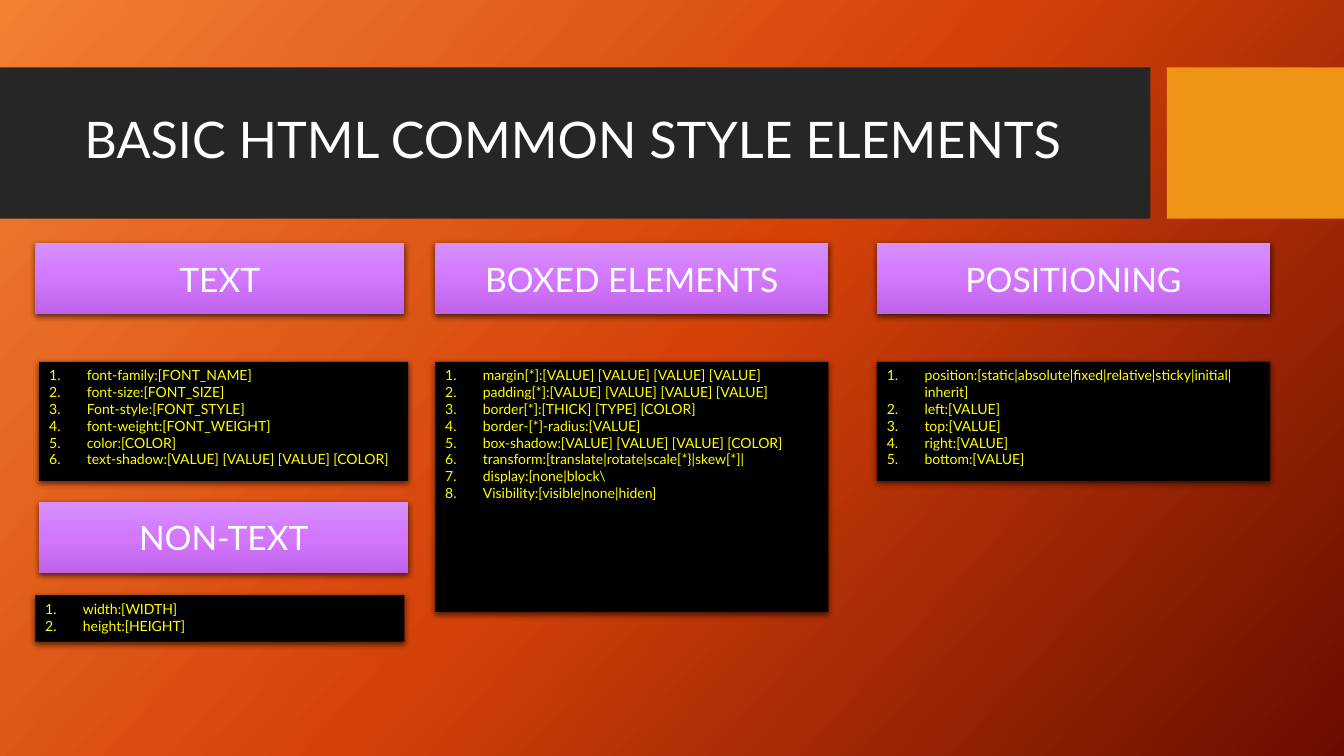
from copy import deepcopy
from lxml.etree import SubElement as Sub
from pptx import Presentation
from pptx.dml.color import RGBColor
from pptx.enum.shapes import MSO_SHAPE as Kind
from pptx.enum.text import MSO_ANCHOR as Anchor, PP_ALIGN as Align
from pptx.oxml.ns import qn
from pptx.util import Cm, Pt


def tint(code):
    """Turn a hex string into a colour."""
    return RGBColor.from_string(code)


class Deck:
    """Hold the style and the current slide."""

    font = "Lato"
    white, black, yellow = "FFFFFF", "000000", "FFFF00"
    dark, amber = "262626", "F09415"
    sunset = ("F18031", "D54209", "6A0D00")
    violet = ("D790FB", "D377FF", "BE62EA")

    def __init__(self):
        """Open a blank slide."""
        self.file = Presentation()
        self.file.slide_width, self.file.slide_height = Cm(33.87), Cm(19.05)
        self.slide = self.file.slides.add_slide(self.file.slide_layouts[6])
        self.blend(self.slide.background.fill, self.slide, self.sunset, 42)

    def blend(self, fill, owner, codes, angle):
        """Fill with three evenly spaced colours, angle clockwise."""
        fill.gradient()
        fill.gradient_angle = 360 - angle
        stops = owner.element.find(".//" + qn("a:gsLst"))
        stops.insert(1, deepcopy(stops[0]))
        for stop, code, place in zip(fill.gradient_stops, codes, (0, 0.5, 1)):
            stop.color.rgb = tint(code)
            stop.position = place

    def words(self, para, text, size, color):
        """Add one run to a paragraph."""
        run = para.add_run()
        run.text = text
        run.font.name, run.font.size = self.font, Pt(size)
        run.font.color.rgb = tint(color)

    def block(self, x, y, w, h, fill):
        """Add a plain rectangle."""
        box = self.slide.shapes.add_shape(Kind.RECTANGLE, Cm(x), Cm(y), Cm(w), Cm(h))
        box.shadow.inherit = False
        box.line.fill.background()
        if isinstance(fill, str):
            box.fill.solid()
            box.fill.fore_color.rgb = tint(fill)
        else:
            self.blend(box.fill, box, fill, 90)
        return box

    def shade(self, box):
        """Cast a soft shadow below a box."""
        effect = box.element.spPr.find(qn("a:effectLst"))
        drop = Sub(effect, qn("a:outerShdw"), blurRad=str(Pt(4.5)), dist=str(Pt(1.5)),
                   dir="5400000", algn="ctr", rotWithShape="0")
        color = Sub(drop, qn("a:srgbClr"), val=self.black)
        Sub(color, qn("a:alpha"), val="63000")

    def title(self, x, y, w, h, text):
        """Add the slide title."""
        frame = self.slide.shapes.add_textbox(Cm(x), Cm(y), Cm(w), Cm(h)).text_frame
        frame.word_wrap = True
        frame.vertical_anchor = Anchor.MIDDLE
        para = frame.paragraphs[0]
        para.line_spacing = 0.9
        self.words(para, text, 36, self.white)

    def head(self, x, y, w, text):
        """Add a violet heading."""
        box = self.block(x, y, w, 1.8, self.violet)
        self.shade(box)
        frame = box.text_frame
        frame.vertical_anchor = Anchor.MIDDLE
        para = frame.paragraphs[0]
        para.alignment = Align.CENTER
        self.words(para, text, 24, self.white)

    def rules(self, x, y, w, h, lines):
        """Add a black box with a numbered list."""
        box = self.block(x, y, w, h, self.black)
        self.shade(box)
        frame = box.text_frame
        frame.vertical_anchor = Anchor.TOP
        for i, line in enumerate(lines):
            para = frame.add_paragraph() if i else frame.paragraphs[0]
            para.alignment = Align.LEFT
            props = para._p.get_or_add_pPr()
            props.set("marL", str(Cm(0.95)))
            props.set("indent", str(-Cm(0.95)))
            Sub(props, qn("a:buAutoNum"), type="arabicPeriod")
            self.words(para, line, 10, self.yellow)


text = ["font-family:[FONT_NAME]", "font-size:[FONT_SIZE]", "Font-style:[FONT_STYLE]",
        "font-weight:[FONT_WEIGHT]", "color:[COLOR]",
        "text-shadow:[VALUE] [VALUE] [VALUE] [COLOR]"]
boxed = ["margin[*]:[VALUE] [VALUE] [VALUE] [VALUE]",
         "padding[*]:[VALUE] [VALUE] [VALUE] [VALUE]",
         "border[*]:[THICK] [TYPE] [COLOR]", "border-[*]-radius:[VALUE]",
         "box-shadow:[VALUE] [VALUE] [VALUE] [COLOR]",
         "transform:[translate|rotate|scale[*}|skew[*]|",
         "display:[none|block\\", "Visibility:[visible|none|hiden]"]
place = ["position:[static|absolute|fixed|relative|sticky|initial|inherit]",
         "left:[VALUE]", "top:[VALUE]", "right:[VALUE]", "bottom:[VALUE]"]
size = ["width:[WIDTH]", "height:[HEIGHT]"]

deck = Deck()
deck.block(0, 1.7, 28.99, 3.81, deck.dark)
deck.block(29.41, 1.7, 4.46, 3.81, deck.amber)
deck.title(1.88, 2.08, 26.7, 3, "BASIC HTML COMMON STYLE ELEMENTS")

near, inset, mid, far = 0.89, 0.99, 10.97, 22.1
slim, wide = 9.3, 9.91
for x, y, w, name in [(near, 6.12, slim, "TEXT"), (mid, 6.12, wide, "BOXED ELEMENTS"),
                      (far, 6.12, wide, "POSITIONING"), (inset, 12.64, slim, "NON-TEXT")]:
    deck.head(x, y, w, name)
for x, y, w, h, lines in [(inset, 9.12, slim, 3, text), (mid, 9.12, wide, 6.3, boxed),
                          (far, 9.12, wide, 3, place), (near, 15, slim, 1.17, size)]:
    deck.rules(x, y, w, h, lines)

deck.file.save("out.pptx")
